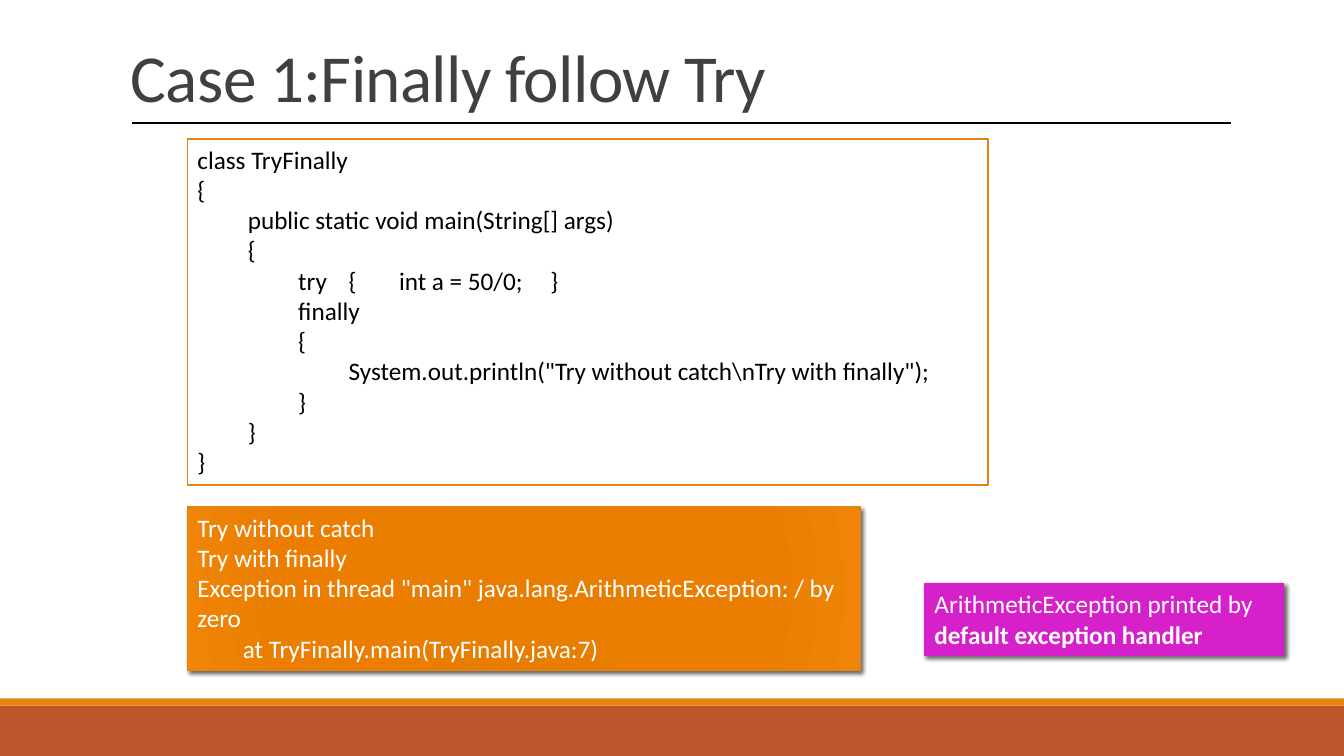
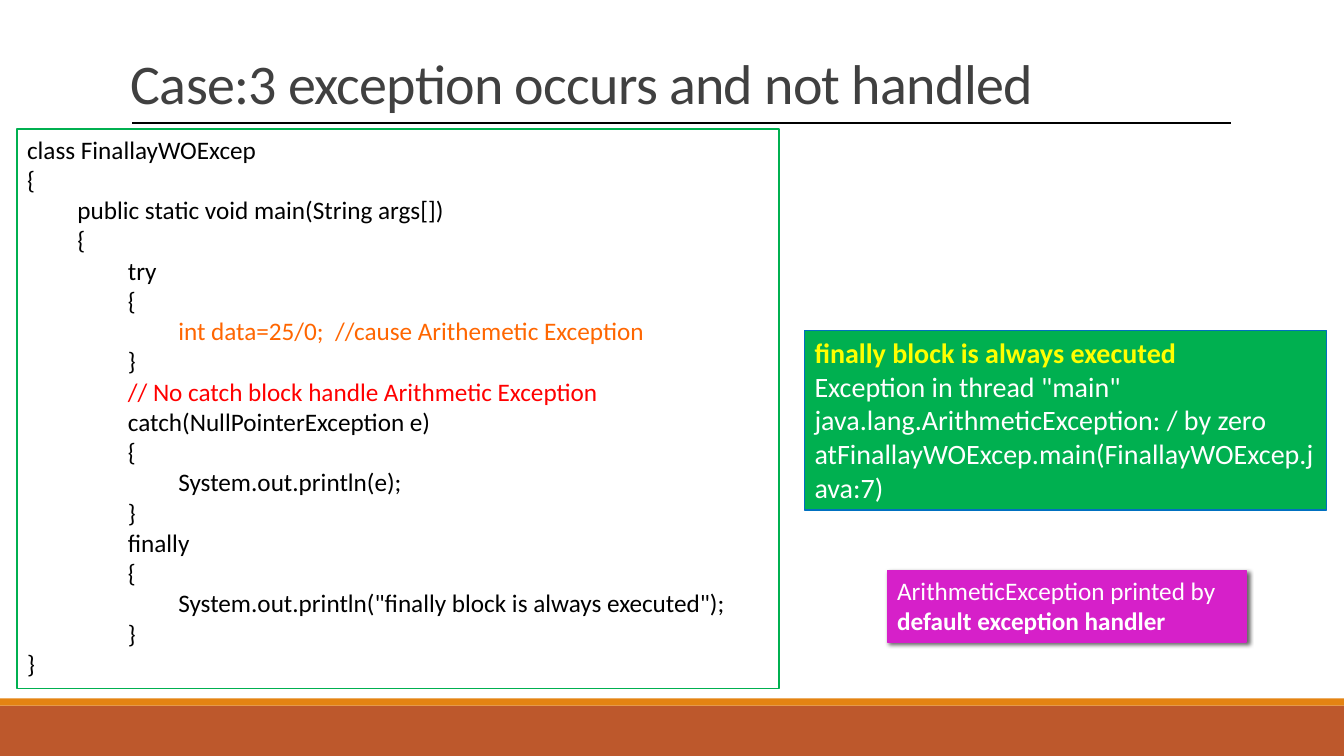
from lxml import etree
from pptx import Presentation
from pptx.dml.color import RGBColor
from pptx.enum.shapes import MSO_CONNECTOR, MSO_SHAPE
from pptx.enum.text import MSO_ANCHOR, MSO_AUTO_SIZE, PP_ALIGN
from pptx.oxml import parse_xml
from pptx.oxml.ns import nsdecls, qn
from pptx.util import Inches, Pt

FONT = "Calibri"
COLORS = {
    "white": "FFFFFF",
    "black": "000000",
    "title": "404040",
    "rust": "BD582C",
    "orange": "E48312",
    "magenta": "D620C9",
    "green": "00B050",
    "blue": "0070C0",
    "yellow": "FFFF00",
    "cause": "FF6600",
    "remark": "FF0000",
}
ORANGE_GLOW = [(0, "E57B00"), (34, "E87D00"), (70, "EB7E00"), (100, "EF8407")]

BANDS = [((0, 7, 13.33, 0.5), "rust"), ((0, 6.93, 13.33, 0.07), "orange")]
TITLE_AREA = (1.2, 0.25, 11, 0.95)
RULE_LEFT, RULE_RIGHT, RULE_TOP = 1.31, 12.21, 1.22
HANDLER_SIZE = (3.56, 0.71)
HANDLER_NOTE = [
    "ArithmeticException printed by",
    ("default exception handler", "white", True),
]

CODE_STYLE = {"text": "black", "line_width": 1.25}
SLIDES = [
    {
        "title": ("Case 1:Finally follow Try", 48),
        "handler_at": (9.17, 5.79),
        "boxes": [
            {
                **CODE_STYLE,
                "area": (1.86, 1.38, 7.94, 3.43),
                "fill": "white",
                "line": "orange",
                "lines": [
                    "class TryFinally",
                    "{",
                    "\tpublic static void main(String[] args)",
                    "\t{",
                    "\t\ttry\t{\tint a = 50/0;\t}",
                    "\t\tfinally",
                    "\t\t{",
                    '\t\t\tSystem.out.println("Try without catch\\nTry with finally");',
                    "\t\t}",
                    "\t}",
                    "}",
                ],
            },
            {
                "area": (1.86, 5.03, 6.67, 1.62),
                "fill": ORANGE_GLOW,
                "line": "orange",
                "shadow": True,
                "lines": [
                    "Try without catch",
                    "Try with finally",
                    'Exception in thread "main" java.lang.ArithmeticException: / by zero',
                    "        at TryFinally.main(TryFinally.java:7)",
                ],
            },
        ],
    },
    {
        "title": ("Case:3 exception occurs and not handled", 40),
        "handler_at": (8.8, 5.66),
        "boxes": [
            {
                **CODE_STYLE,
                "area": (0.17, 1.28, 7.56, 5.55),
                "line": "green",
                "lines": [
                    "class FinallayWOExcep",
                    "{",
                    "\tpublic static void main(String args[])",
                    "\t{",
                    "\t\ttry",
                    "\t\t{",
                    ("\t\t\tint data=25/0;  //cause Arithemetic Exception", "cause", False),
                    "\t\t}",
                    ("\t\t// No catch block handle Arithmetic Exception", "remark", False),
                    "\t\tcatch(NullPointerException e)",
                    "\t\t{",
                    "\t\t\tSystem.out.println(e);",
                    "\t\t}",
                    "\t\tfinally",
                    "\t\t{",
                    '\t\t\tSystem.out.println("finally block is always executed");',
                    "\t\t}",
                    "}",
                ],
            },
            {
                "area": (7.98, 3.28, 5.18, 1.78),
                "fill": "green",
                "line": "blue",
                "line_width": 0.75,
                "size": 20,
                "lines": [
                    ("finally block is always executed", "yellow", True),
                    'Exception in thread "main" java.lang.ArithmeticException: / by zero',
                    "atFinallayWOExcep.main(FinallayWOExcep.java:7)",
                ],
            },
        ],
    },
]


def rgb(name):
    return RGBColor.from_string(COLORS[name])


def style_font(font, size, color, bold=False):
    font.name = FONT
    font.size = Pt(size)
    font.bold = bold
    font.color.rgb = rgb(color)


def fill_radial(shape, stops):
    shape.fill.background()
    stop_xml = "".join(
        f'<a:gs pos="{pos * 1000}"><a:srgbClr val="{color}"/></a:gs>' for pos, color in stops
    )
    gradient = parse_xml(
        f'<a:gradFill {nsdecls("a")} rotWithShape="1"><a:gsLst>{stop_xml}</a:gsLst>'
        '<a:path path="circle"><a:fillToRect l="100000" t="100000" r="100000" b="100000"/>'
        "</a:path></a:gradFill>"
    )
    properties = shape.fill._xPr
    properties.replace(properties.find(qn("a:noFill")), gradient)


def cast_shadow(shape):
    effects = shape._element.spPr.find(qn("a:effectLst"))
    effects.append(parse_xml(
        f'<a:outerShdw {nsdecls("a")} blurRad="{Pt(3)}" dist="{Pt(2)}" dir="{45 * 60000}" '
        'algn="tl" rotWithShape="0"><a:srgbClr val="000000"><a:alpha val="60000"/>'
        "</a:srgbClr></a:outerShdw>"
    ))


def add_panel(slide, area, fill=None, line=None, line_width=1, shadow=False):
    panel = slide.shapes.add_shape(MSO_SHAPE.RECTANGLE, *map(Inches, area))
    panel.shadow.inherit = False
    if fill is None:
        panel.fill.background()
    elif isinstance(fill, list):
        fill_radial(panel, fill)
    else:
        panel.fill.solid()
        panel.fill.fore_color.rgb = rgb(fill)
    if line is None:
        panel.line.fill.background()
    else:
        panel.line.color.rgb = rgb(line)
        panel.line.width = Pt(line_width)
    if shadow:
        cast_shadow(panel)
    return panel


def add_text_panel(slide, area, lines, text="white", size=18, **look):
    frame = add_panel(slide, area, **look).text_frame
    frame.word_wrap = True
    frame.auto_size = MSO_AUTO_SIZE.SHAPE_TO_FIT_TEXT
    frame.vertical_anchor = MSO_ANCHOR.TOP
    for index, entry in enumerate(lines):
        words, color, bold = (entry, text, False) if isinstance(entry, str) else entry
        paragraph = frame.paragraphs[0] if index == 0 else frame.add_paragraph()
        paragraph.text = words
        paragraph.alignment = PP_ALIGN.LEFT
        style_font(paragraph.runs[0].font, size, color, bold)


def add_frame(slide, title, size):
    for area, color in BANDS:
        add_panel(slide, area, color)
    rule = slide.shapes.add_connector(
        MSO_CONNECTOR.STRAIGHT,
        Inches(RULE_LEFT), Inches(RULE_TOP), Inches(RULE_RIGHT), Inches(RULE_TOP),
    )
    rule.line.color.rgb = rgb("black")
    rule.line.width = Pt(1)
    etree.SubElement(rule._element.spPr, qn("a:effectLst"))

    frame = slide.shapes.add_textbox(*map(Inches, TITLE_AREA)).text_frame
    frame.word_wrap = True
    frame.vertical_anchor = MSO_ANCHOR.BOTTOM
    heading = frame.paragraphs[0]
    heading.text = title
    heading.line_spacing = 0.85
    run = heading.runs[0]
    style_font(run.font, size, "title")
    run._r.get_or_add_rPr().set("spc", "-50")


def main():
    deck = Presentation()
    deck.slide_width, deck.slide_height = Inches(13.33), Inches(7.5)
    for content in SLIDES:
        slide = deck.slides.add_slide(deck.slide_layouts[6])
        add_frame(slide, *content["title"])
        for box in content["boxes"]:
            add_text_panel(slide, **box)
        add_text_panel(
            slide, content["handler_at"] + HANDLER_SIZE, HANDLER_NOTE,
            fill="magenta", line="magenta", shadow=True,
        )
    deck.save("out.pptx")


if __name__ == "__main__":
    main()
